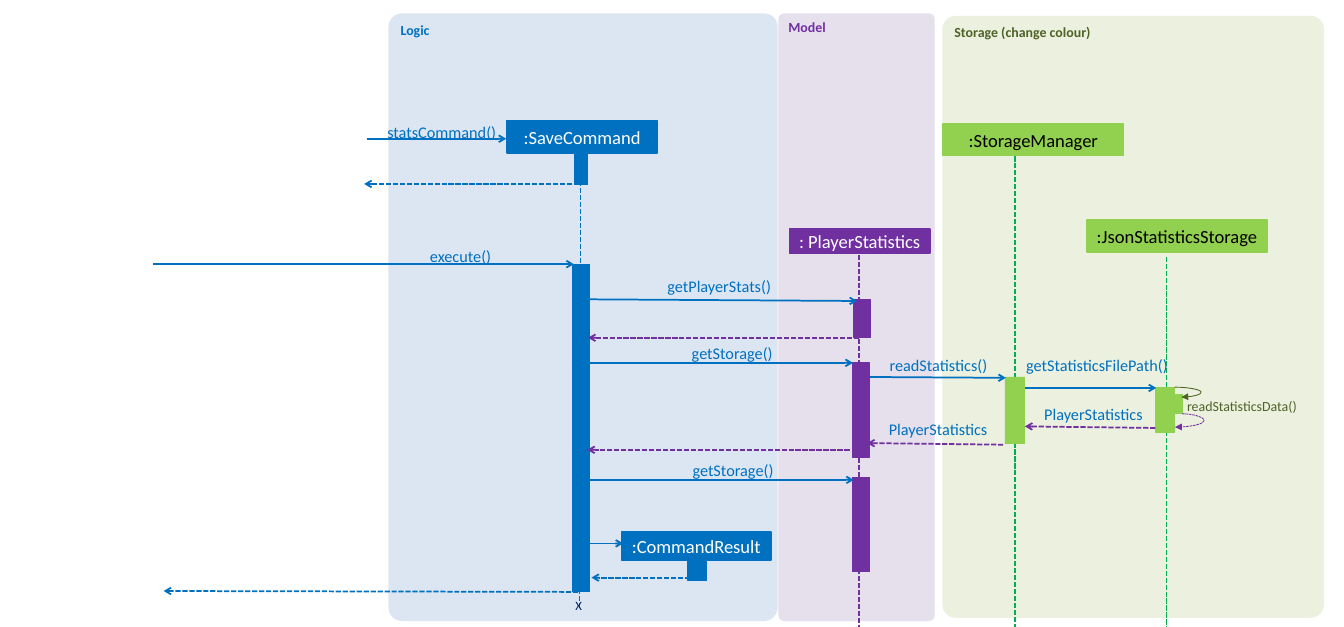
"""Draw a sequence diagram of a statistics command across three components."""
from lxml.etree import SubElement
from pptx import Presentation
from pptx.dml.color import RGBColor
from pptx.enum.dml import MSO_LINE as Dash
from pptx.enum.shapes import MSO_CONNECTOR as Link, MSO_SHAPE as Form
from pptx.enum.text import MSO_ANCHOR as Anchor, PP_ALIGN as Align
from pptx.oxml.ns import qn
from pptx.util import Pt

HUES = {
    "blue": "0070C0", "navy": "002060", "purple": "7030A0", "lime": "92D050",
    "green": "00B050", "olive": "4F6228", "white": "FFFFFF", "black": "000000",
    "sky": "DCE6F2", "lilac": "E6E0EC", "moss": "EBF1DE",
}
WIDE, HIGH = 1158.38, 540

PANELS = [
    ("Storage (change colour)", 812.2, 13.7, 329, 518.4, "moss", "olive"),
    ("Model", 671, 11.5, 134.6, 523.4, "lilac", "purple"),
    ("Logic", 334.8, 11.5, 335.5, 523.4, "sky", "blue"),
]
LIVES = [
    (500.4, 131.8, 241.2, "blue"),
    (499.5, 441.4, 523.4, "blue"),
    (740.5, 213.8, HIGH, "purple"),
    (874.8, 134.6, HIGH, "green"),
    (1005.5, 221, HIGH, "green"),
]
BARS = [
    (495.4, 131, 10.8, 28.1, "blue"),
    (493.2, 227.5, 15.1, 282.2, "blue"),
    (592.6, 481, 16.6, 18.7, "blue"),
    (735.8, 257.8, 14.4, 32.4, "purple"),
    (734.4, 312.5, 15.1, 81.4, "purple"),
    (734.4, 411.1, 15.1, 81.4, "purple"),
    (866.2, 324.7, 16.6, 57.6, "lime"),
    (995.8, 333.4, 16.6, 38.9, "lime"),
    (1013, 339.8, 6.5, 16.6, "lime"),
]
HEADS = [
    (":SaveCommand", 437, 103.7, 129.6, 28.1, "blue", "white"),
    (":CommandResult", 535.7, 457.9, 128.9, 24.5, "blue", "white"),
    (": PlayerStatistics", 680.4, 197.3, 121, 20.9, "purple", "white"),
    (":StorageManager", 812.9, 106.6, 155.5, 27.4, "lime", "black"),
    (":JsonStatisticsStorage", 936.7, 189.4, 155.5, 27.4, "lime", "black"),
]
CALLS = [
    (316.1, 119.5, 436.3, 119.5),
    (131.8, 227.5, 494.6, 227.5),
    (506.9, 257.8, 738.7, 259.2),
    (504, 312.5, 735.1, 312.5),
    (749.5, 324.7, 866.9, 325.4),
    (883.4, 334.1, 996.5, 334.1),
    (504.7, 413.3, 735.8, 413.3),
    (506.2, 468, 537.1, 468),
]
REPLIES = [
    (493.2, 158.4, 313.9, 158.4, "blue"),
    (740.2, 290.9, 506.9, 290.9, "purple"),
    (732.2, 387.4, 506.2, 387.4, "purple"),
    (864.7, 383, 747.4, 381.6, "purple"),
    (995.8, 368.6, 883.4, 367.2, "purple"),
    (607, 497.5, 509.8, 497.5, "blue"),
    (498.2, 509.8, 141.1, 509, "blue"),
]
LABELS = [
    ("statsCommand()", 277.9, 105.1, 149.8),
    ("execute()", 355.7, 212.4, 67.7),
    ("getPlayerStats()", 542.9, 237.6, 121.7),
    ("getStorage()", 544.3, 295.2, 121.7),
    ("getStorage()", 545, 396, 121.7),
    ("readStatistics()", 727.9, 306, 123.1),
    ("getStatisticsFilePath()", 881.3, 306, 125.3),
    ("PlayerStatistics", 861.8, 348.5, 123.1),
    ("PlayerStatistics", 727.9, 361.4, 123.1),
]


def hue(name):
    """Return the named colour."""
    return RGBColor.from_string(HUES[name])


def write(frame, text, size, tint, align, bold=False):
    """Put one styled paragraph in a text frame."""
    frame.word_wrap = True
    para = frame.paragraphs[0]
    para.text, para.alignment = text, align
    font = para.font
    font.name, font.size, font.bold = "Calibri", Pt(size), bold
    font.color.rgb = hue(tint)


def block(slide, form, x, y, w, h, fill, edge=0):
    """Add a filled shape, outlined in its own colour if edge is set."""
    shape = slide.shapes.add_shape(form, Pt(x), Pt(y), Pt(w), Pt(h))
    shape.shadow.inherit = False
    shape.fill.solid()
    shape.fill.fore_color.rgb = hue(fill)
    if edge:
        shape.line.color.rgb = hue(fill)
        shape.line.width = Pt(edge)
    else:
        shape.line.fill.background()
    return shape


def panel(slide, text, x, y, w, h, fill, tint):
    """Add a component's rounded background with its name."""
    shape = block(slide, Form.ROUNDED_RECTANGLE, x, y, w, h, fill)
    shape.adjustments[0] = 0.035
    shape.text_frame.vertical_anchor = Anchor.TOP
    write(shape.text_frame, text, 12, tint, Align.LEFT, True)


def head(slide, text, x, y, w, h, fill, tint):
    """Add the named box on top of a lifeline."""
    shape = block(slide, Form.RECTANGLE, x, y, w, h, fill, 1.5)
    shape.text_frame.vertical_anchor = Anchor.MIDDLE
    write(shape.text_frame, text, 16, tint, Align.CENTER)


def label(slide, text, x, y, w, size=14, tint="blue", align=Align.RIGHT):
    """Add a text box without insets."""
    box = slide.shapes.add_textbox(Pt(x), Pt(y), Pt(w), Pt(size * 1.23))
    frame = box.text_frame
    frame.margin_left = frame.margin_right = 0
    frame.margin_top = frame.margin_bottom = 0
    write(frame, text, size, tint, align)


def line(slide, x1, y1, x2, y2, tint, dash=False, tip="arrow",
         width=1.5, kind=Link.STRAIGHT):
    """Add a connector, dashed or with an arrowhead at its end."""
    link = slide.shapes.add_connector(kind, Pt(x1), Pt(y1), Pt(x2), Pt(y2))
    link.line.color.rgb = hue(tint)
    link.line.width = Pt(width)
    if dash:
        link.line.dash_style = Dash.SQUARE_DOT
    if tip:
        SubElement(link.line._get_or_add_ln(), qn("a:tailEnd"), type=tip)
    SubElement(link._element.spPr, qn("a:effectLst"))
    return link


def loop(slide, x1, y1, x2, y2, tint, bend, dash=False):
    """Add a curved self-call whose bulge is bend times its width."""
    link = line(slide, x1, y1, x2, y2, tint, dash, "triangle", 0.75, Link.CURVE)
    geom = link._element.spPr.find(qn("a:prstGeom"))
    SubElement(geom.find(qn("a:avLst")), qn("a:gd"),
               name="adj1", fmla=f"val {round(bend * 100000)}")


def main():
    """Build the slide and save it."""
    deck = Presentation()
    deck.slide_width, deck.slide_height = Pt(WIDE), Pt(HIGH)
    slide = deck.slides.add_slide(deck.slide_layouts[6])
    for item in PANELS:
        panel(slide, *item)
    for x, top, end, tint in LIVES:
        line(slide, x, top, x, end, tint, True, None)
    for *place, fill in BARS:
        block(slide, Form.RECTANGLE, *place, fill, 0.75)
    for item in HEADS:
        head(slide, *item)
    for ends in CALLS:
        line(slide, *ends, "blue")
    for item in REPLIES:
        line(slide, *item, True)
    loop(slide, 1012.3, 333.4, 1018.1, 342, "olive", 3.95)
    loop(slide, 1018.8, 356.4, 1012.7, 367.9, "purple", -3.13, True)
    for item in LABELS:
        label(slide, *item)
    label(slide, "readStatisticsData()", 1023.1, 342, 114.5, 12, "olive", Align.LEFT)
    label(slide, "X", 488.9, 514.8, 20, 11, "navy", Align.CENTER)
    deck.save("out.pptx")


if __name__ == "__main__":
    main()
